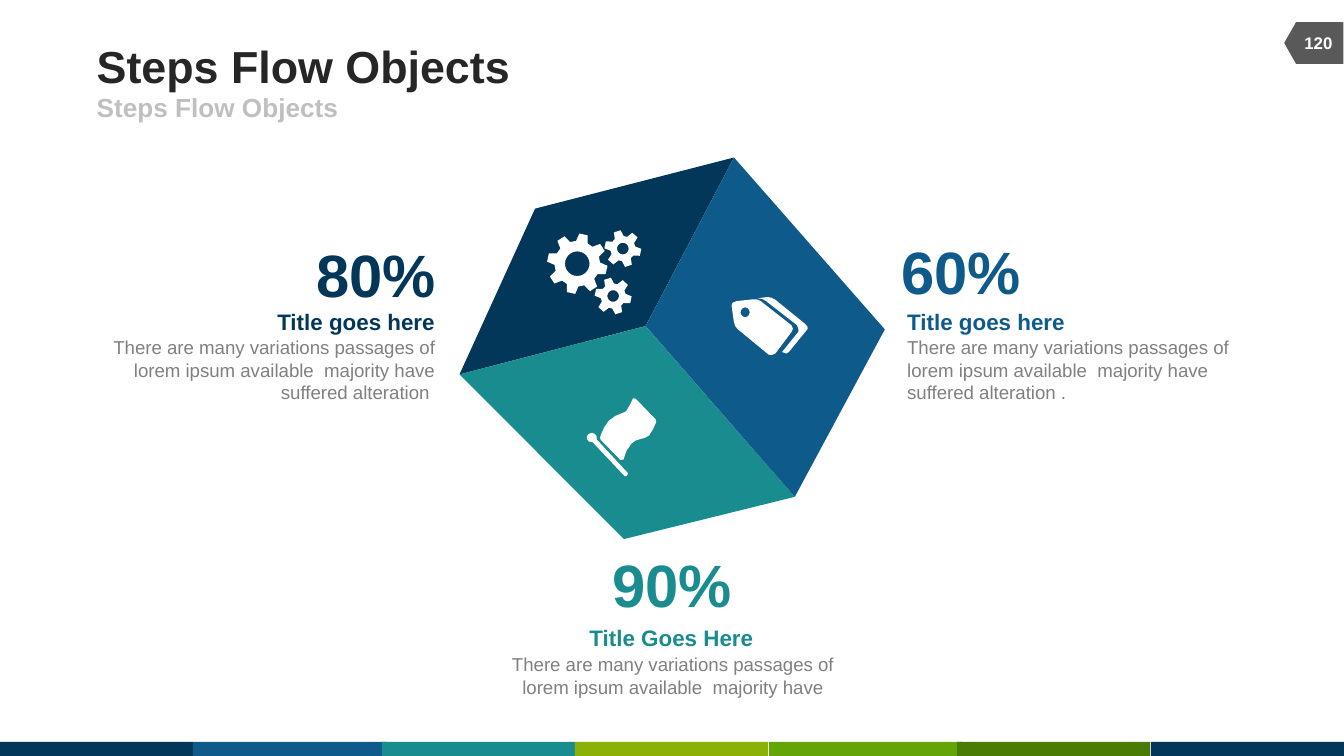
from math import cos, radians, sin

from pptx import Presentation
from pptx.dml.color import RGBColor
from pptx.enum.shapes import MSO_SHAPE
from pptx.enum.text import MSO_ANCHOR, PP_ALIGN
from pptx.util import Pt

COLORS = {
    "navy": "023759", "blue": "0E5A8B", "teal": "198C8F", "lime": "8BB106",
    "green": "63A406", "forest": "4A7B04", "white": "FFFFFF", "tag": "595959",
    "title": "262626", "subtitle": "BFBFBF", "body": "808080",
}
LEFT, CENTER, RIGHT = PP_ALIGN.LEFT, PP_ALIGN.CENTER, PP_ALIGN.RIGHT
TOP, MIDDLE, BOTTOM = MSO_ANCHOR.TOP, MSO_ANCHOR.MIDDLE, MSO_ANCHOR.BOTTOM

deck = Presentation()
deck.slide_width, deck.slide_height = Pt(720), Pt(405)
page = deck.slides.add_slide(deck.slide_layouts[6])


def add_text(text, bounds, size, color, align=LEFT, anchor=TOP, bold=True, wrap=True):
    box = page.shapes.add_textbox(*[Pt(length) for length in bounds])
    frame = box.text_frame
    frame.word_wrap = wrap
    frame.vertical_anchor = anchor
    frame.margin_left = frame.margin_right = frame.margin_top = frame.margin_bottom = 0
    para = frame.paragraphs[0]
    para.text = text
    para.alignment = align
    para.font.name = "Arial"
    para.font.size = Pt(size)
    para.font.bold = bold
    para.font.color.rgb = RGBColor.from_string(COLORS[color])


def add_outline(contours, color):
    """Draw closed contours as one shape; an inner contour becomes a hole."""
    points = [[(Pt(x), Pt(y)) for x, y in contour] for contour in contours]
    builder = page.shapes.build_freeform(*points[0][0])
    builder.add_line_segments(points[0][1:], close=True)
    for contour in points[1:]:
        builder.move_to(*contour[0])
        builder.add_line_segments(contour[1:], close=True)
    shape = builder.convert_to_shape()
    shape.shadow.inherit = False
    shape.fill.solid()
    shape.fill.fore_color.rgb = RGBColor.from_string(COLORS[color])
    shape.line.fill.background()


# Footer stripe and page tag
stripe_lefts = [0, 103.5, 204.6, 308, 412, 512.7, 616.5]
stripe_colors = ["navy", "blue", "teal", "lime", "green", "forest", "navy"]
blocks = [(MSO_SHAPE.RECTANGLE, (left, 397.5, 103.5, 7.5), 0, color)
          for left, color in zip(stripe_lefts, stripe_colors)]
blocks.append((MSO_SHAPE.FLOWCHART_OFFPAGE_CONNECTOR, (692.6, 7.2, 22.4, 31.7), 90, "tag"))
for kind, bounds, rotation, color in blocks:
    block = page.shapes.add_shape(kind, *[Pt(length) for length in bounds])
    block.rotation = rotation
    block.shadow.inherit = False
    block.fill.solid()
    block.fill.fore_color.rgb = RGBColor.from_string(COLORS[color])
    block.line.fill.background()

# Heading and page number
add_text("Steps Flow Objects", (51.8, 21, 444, 28), 24, "title", anchor=MIDDLE)
add_text("Steps Flow Objects", (51.8, 49.2, 324, 16), 14, "subtitle", anchor=MIDDLE)
add_text("120", (691.2, 12.2, 30.2, 21.6), 9, "white", CENTER, MIDDLE)

# Cube faces, sharing the corner in the middle
core, peak, east = (345.9, 174.7), (393.2, 84.4), (474, 176.5)
south_east, south = (425.8, 266.2), (334.3, 288.8)
west, north_west = (246.2, 200.6), (286.7, 111.8)
add_outline([[peak, core, west, north_west]], "navy")
add_outline([[core, south_east, south, west]], "teal")
add_outline([[core, peak, east, south_east]], "blue")

# Gears: center, teeth, tip, root and hole radii, tooth half-angles at tip and root
gears = [
    ((309.3, 141.3), 8, 16.2, 12.2, 6.6, 8, 15),
    ((333.7, 133.2), 6, 9.9, 6.7, 3.1, 11, 22),
    ((328.5, 158.6), 6, 9.9, 6.7, 3.1, 11, 22),
]
for (x, y), teeth, tip, root, hole, tip_angle, root_angle in gears:
    rim = []
    for tooth in range(teeth):
        middle = 12 + tooth * 360 / teeth
        for radius, offset in ((root, -root_angle), (tip, -tip_angle),
                               (tip, tip_angle), (root, root_angle)):
            angle = radians(middle + offset)
            rim.append((x + radius * cos(angle), y + radius * sin(angle)))
    bore = [(x + hole * cos(radians(a)), y + hole * sin(radians(a)))
            for a in range(0, 360, 15)]
    add_outline([rim, bore], "white")

# Flag on its pole
pole = [
    (319.7, 235.4), (336.4, 253.4), (336.2, 254.4), (335.6, 255), (334.8, 255.2),
    (317.5, 236.9), (315.6, 236.6), (314.6, 235.4), (314.4, 233.8), (315.4, 232.5),
    (317, 231.9), (318.6, 232.4), (319.6, 233.6),
]
cloth = [
    (340.6, 213.6), (351.4, 224.8), (351.6, 226.1), (350, 229.7), (347.8, 233.3),
    (345.5, 234.6), (343.1, 235.2), (340.6, 236), (338.4, 237.6), (335.7, 241.4),
    (334.1, 246.2), (332.4, 246.4), (321.7, 235.4), (321.5, 234.3), (322.1, 232.6),
    (323.7, 229), (326.2, 225.4), (329.8, 222.8), (334.1, 221), (335.5, 220.3),
    (337.8, 216.4), (339.1, 213.4),
]
add_outline([pole, cloth], "white")

# Pair of price tags
front_tag = [
    (424.1, 177.8), (415.4, 189.4), (413.5, 190.2), (411.8, 190), (395.3, 176.4),
    (393.8, 174.6), (393.1, 172.1), (391.9, 163.6), (392.5, 162.2), (394.6, 161.3),
    (403.2, 160.4), (405.4, 160.4), (407.5, 161.3), (424.1, 174.3), (424.8, 176.1),
]
eyelet = [(399.2 + 2.4 * cos(radians(a)), 167.3 + 2.6 * sin(radians(a)))
          for a in range(0, 360, 15)]
back_tag = [
    (432, 177.1), (422.6, 188.6), (421.2, 189.4), (419, 188.6), (427.7, 177.8),
    (427.8, 176.4), (427, 174.2), (410.4, 161.3), (408.5, 160.2), (406.1, 159.8),
    (411.1, 159.1), (413.3, 159.5), (415.4, 160.6), (431.3, 173.5), (432.6, 175),
    (432.7, 176.1),
]
add_outline([front_tag, eyelet, back_tag], "white")

# Captions: figure, title and description beside each face
intro = "There are many variations passages of lorem ipsum available  majority have"
captions = [
    ("80%", (169.2, 126.7, 64.8, 38.9), "Title goes here", (147.6, 164.9, 85.4, 14.4),
     intro + "\v suffered alteration ", (56.4, 180, 176.4, 36), "navy", RIGHT),
    ("60%", (482.4, 125.3, 64.8, 38.9), "Title goes here", (486, 164.9, 85.4, 14.4),
     intro + " suffered alteration .", (486, 180, 182.9, 36), "blue", LEFT),
    ("90%", (327.6, 293, 64.8, 38.9), "Title Goes Here", (315.4, 334.3, 88.6, 14.4),
     intro, (263.5, 350, 193.7, 24.5), "teal", CENTER),
]
for figure, figure_box, title, title_box, body, body_box, color, align in captions:
    add_text(figure, figure_box, 32, color, CENTER, BOTTOM, wrap=False)
    add_text(title, title_box, 12, color, align, wrap=False)
    add_text(body, body_box, 10, "body", align, bold=False)

deck.save("out.pptx")
